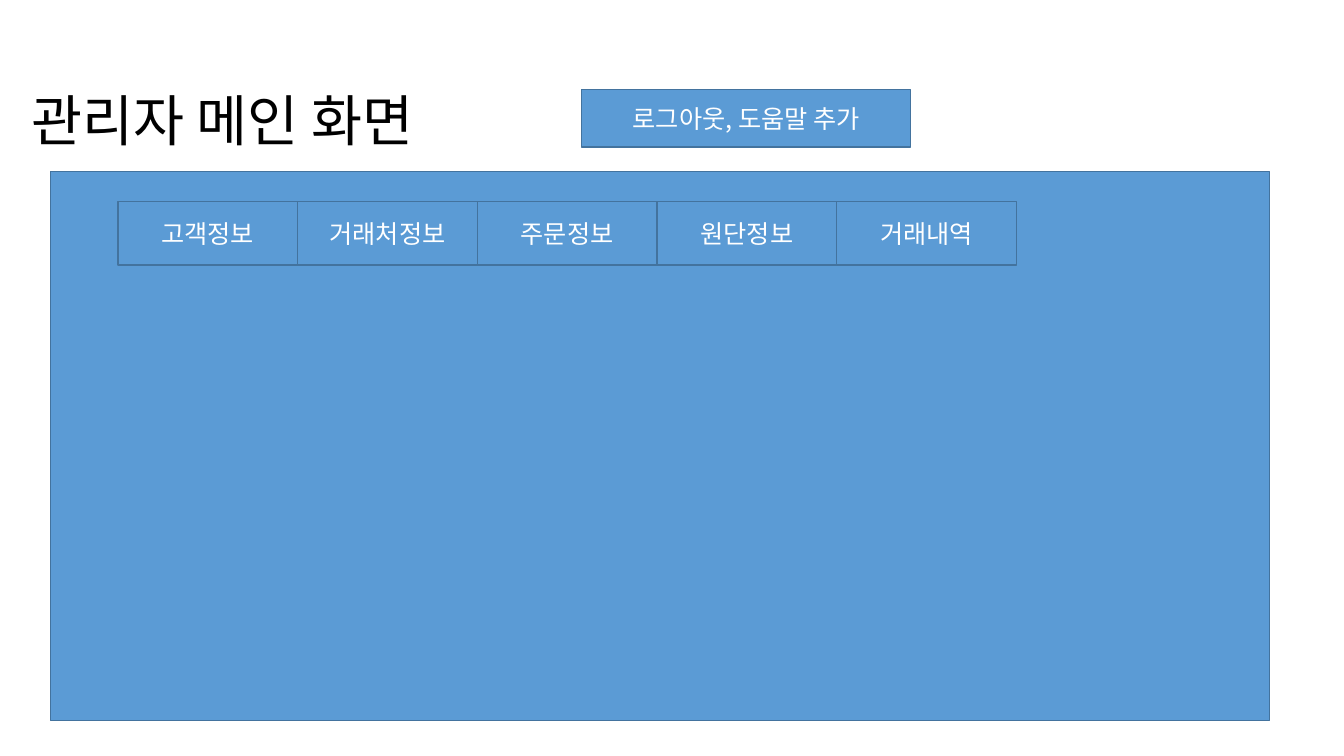
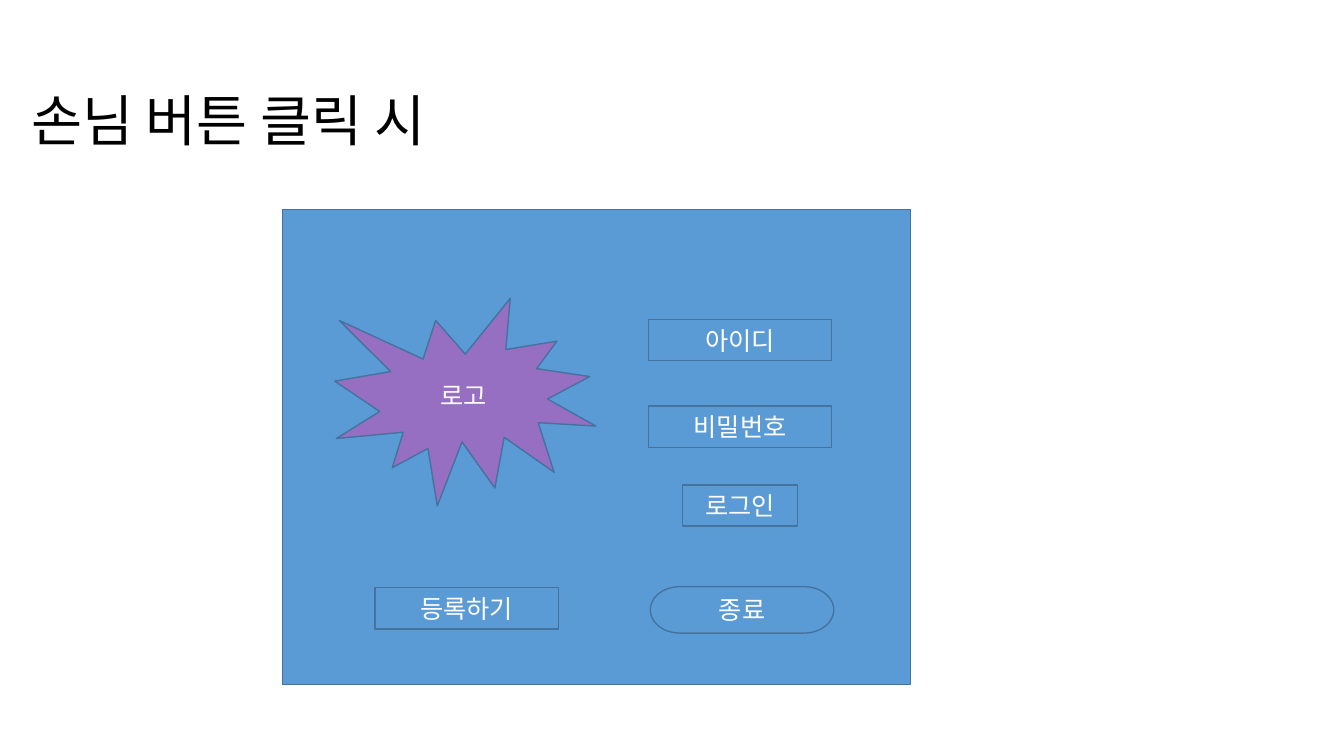
from lxml import etree
from pptx import Presentation
from pptx.dml.color import RGBColor
from pptx.enum.shapes import MSO_SHAPE
from pptx.enum.text import MSO_ANCHOR, PP_ALIGN
from pptx.oxml.ns import qn
from pptx.util import Inches, Pt

RECT = MSO_SHAPE.RECTANGLE
BURST = MSO_SHAPE.EXPLOSION1
TERMINATOR = MSO_SHAPE.FLOWCHART_TERMINATOR
MIDDLE = MSO_ANCHOR.MIDDLE
LEFT, CENTER = PP_ALIGN.LEFT, PP_ALIGN.CENTER

FONT = "Noto Sans CJK KR"
COLORS = {"panel": "5B9BD5", "outline": "43739E", "logo": "966EC2",
          "title": "000000", "label": "FFFFFF"}
TITLE_AREA = (1.58, 11.87, 49.58, 8.93)
FIELD_W, FIELD_H = 29.21, 8.7


def color(name):
    """Return a palette colour by name."""
    return RGBColor.from_string(COLORS[name])


def within(box, area):
    """Turn an area in percent of a box into absolute lengths."""
    left, top, width, height = box
    x, y, w, h = (share / 100 for share in area)
    return (round(left + x * width), round(top + y * height),
            round(w * width), round(h * height))


def write(sp, text, size=18, fill="label", align=CENTER, spacing=None):
    """Write one formatted paragraph, vertically centred, into a shape."""
    tf = sp.text_frame
    tf.word_wrap = True
    tf.vertical_anchor = MIDDLE
    p = tf.paragraphs[0]
    p.alignment = align
    p.line_spacing = spacing
    r = p.add_run()
    r.text = text
    r.font.size = Pt(size)
    r.font.name = FONT
    r.font.color.rgb = color(fill)
    ea = etree.SubElement(r.font._element, qn("a:ea"))
    ea.set("typeface", FONT)


def add_box(s, box, text="", kind=RECT, fill="panel"):
    """Add an outlined shape with an optional label."""
    sp = s.shapes.add_shape(kind, *box)
    sp.shadow.inherit = False
    sp.fill.solid()
    sp.fill.fore_color.rgb = color(fill)
    sp.line.color.rgb = color("outline")
    sp.line.width = Pt(1)
    if text:
        write(sp, text)


def add_screen(prs, page, title):
    """Add a blank slide with its title."""
    s = prs.slides.add_slide(prs.slide_layouts[6])
    sp = s.shapes.add_textbox(*within(page, TITLE_AREA))
    write(sp, title, size=39.6, fill="title", align=LEFT, spacing=0.9)
    return s


def add_admin_panel(s, box):
    """Draw the administrator panel with its row of tabs."""
    add_box(s, box)
    tabs = ["고객정보", "거래처정보", "주문정보", "원단정보", "거래내역"]
    left, width = 5.54, 14.74
    for i, tab in enumerate(tabs):
        add_box(s, within(box, (left + i * width, 5.5, width, 11.56)), tab)


def add_login_panel(s, box):
    """Draw the guest login panel with its logo, fields and buttons."""
    add_box(s, box)
    add_box(s, within(box, (8.35, 18.68, 41.57, 43.74)), "로고", BURST, "logo")
    buttons = [
        ("아이디", (58.27, 23.14, FIELD_W, FIELD_H), RECT),
        ("비밀번호", (58.27, 41.4, FIELD_W, FIELD_H), RECT),
        ("로그인", (63.72, 57.96, 18.3, FIELD_H), RECT),
        ("등록하기", (14.77, 79.62, FIELD_W, FIELD_H), RECT),
        ("종료", (58.59, 79.41, FIELD_W, 9.77), TERMINATOR),
    ]
    for text, area, kind in buttons:
        add_box(s, within(box, area), text, kind)


def main():
    """Build and save both screens."""
    prs = Presentation()
    prs.slide_width, prs.slide_height = Inches(13.33), Inches(7.5)
    page = (0, 0, prs.slide_width, prs.slide_height)

    s = add_screen(prs, page, "관리자 메인 화면")
    add_admin_panel(s, within(page, (3.75, 22.67, 90.7, 72.67)))
    add_box(s, within(page, (43.29, 11.87, 24.46, 7.6)), "로그아웃, 도움말 추가")

    s = add_screen(prs, page, "손님 버튼 클릭 시")
    add_login_panel(s, within(page, (21, 27.73, 46.74, 62.8)))

    prs.save("out.pptx")


main()
